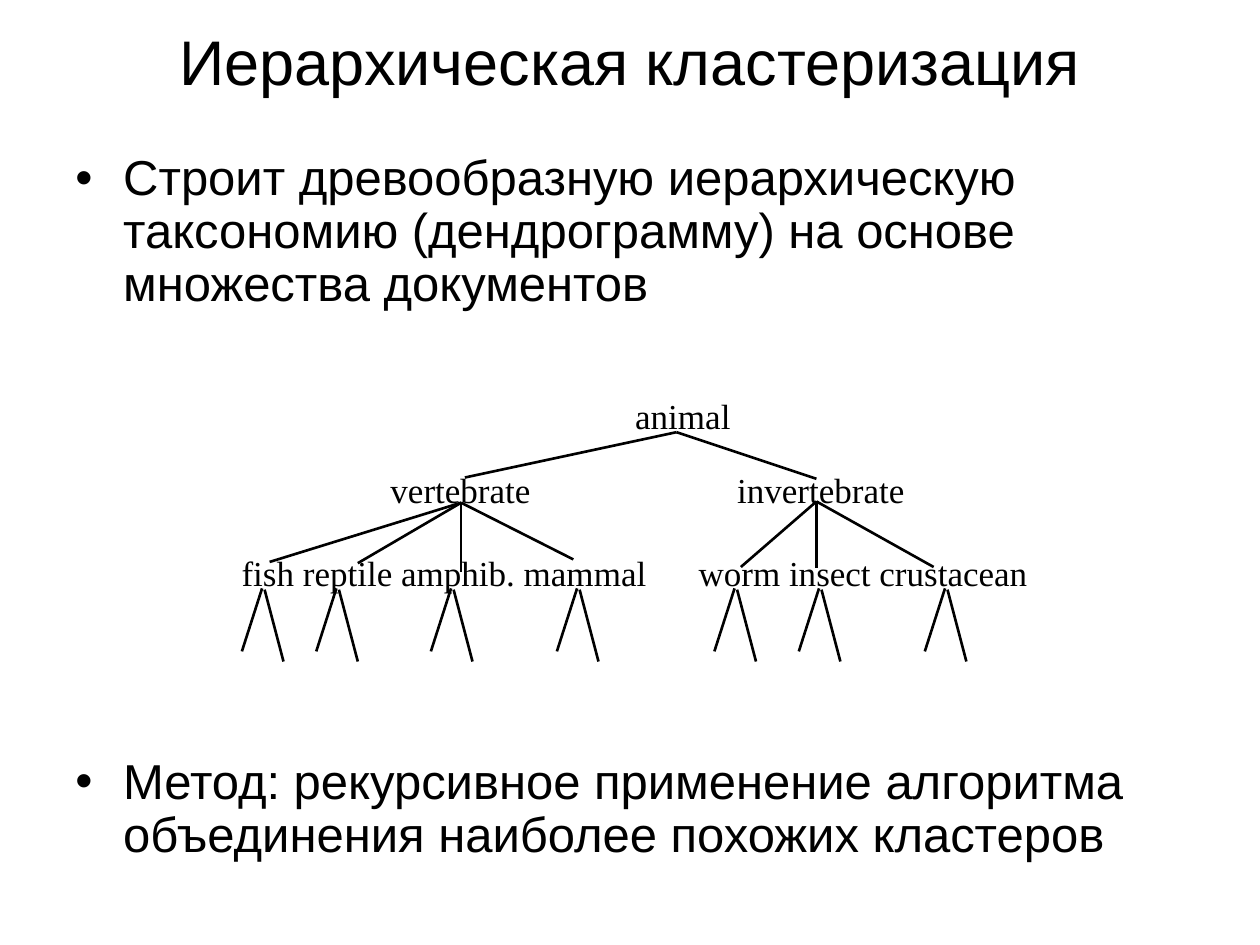
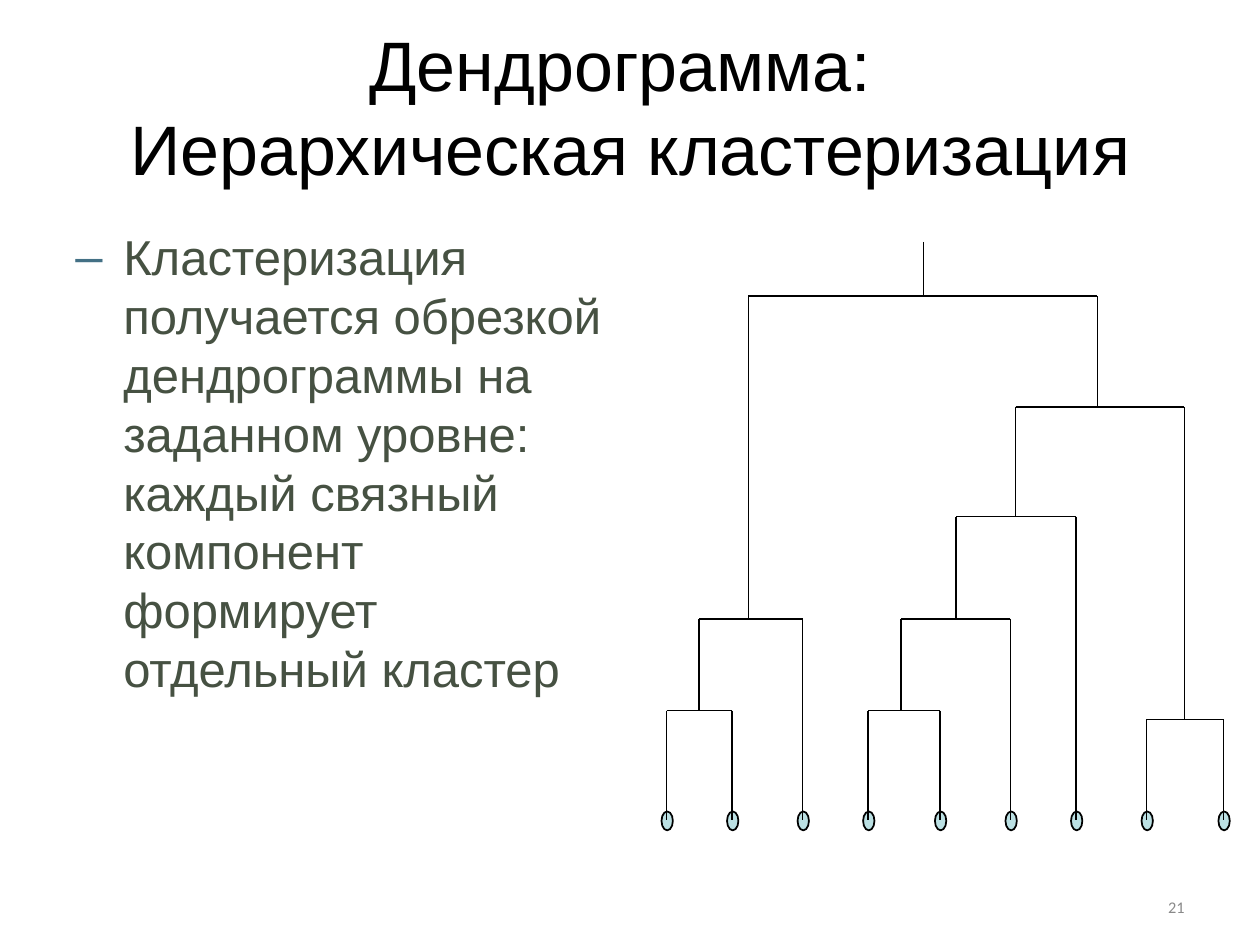
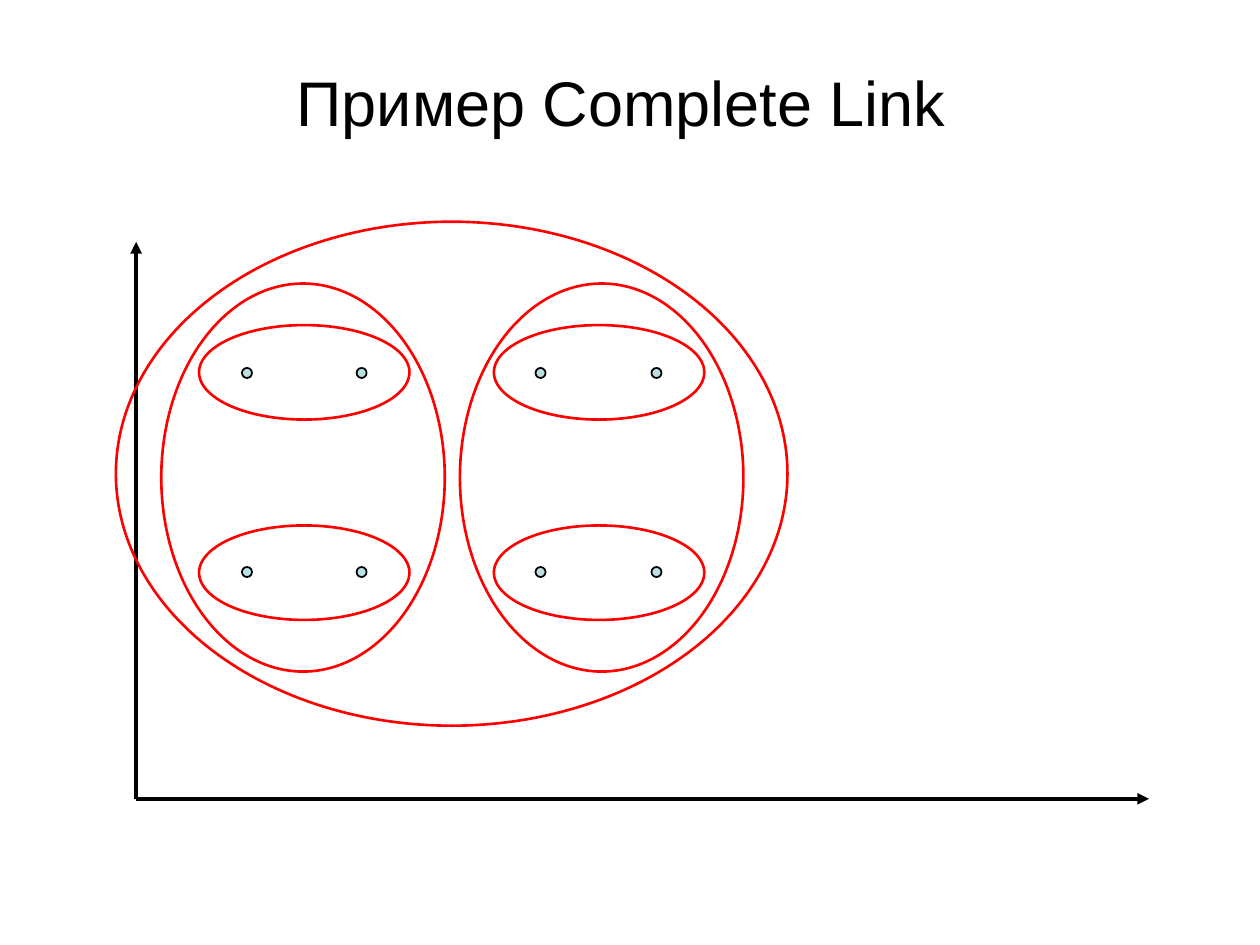
from itertools import product

from lxml import etree
from pptx import Presentation
from pptx.dml.color import RGBColor
from pptx.enum.shapes import MSO_CONNECTOR, MSO_SHAPE
from pptx.enum.text import MSO_ANCHOR, PP_ALIGN
from pptx.oxml.ns import qn
from pptx.util import Pt

PX = 9144
BLACK = RGBColor(0, 0, 0)
RED = RGBColor(255, 0, 0)
AQUA = RGBColor(0xBB, 0xE0, 0xE3)
OLIVE = RGBColor(0x46, 0x51, 0x42)
GREY = RGBColor(0x89, 0x89, 0x89)
BLUE = RGBColor(0x43, 0x70, 0x85)
SANS, SERIF, SMALL = "Arial", "Times New Roman", "Calibri"
LEFT, MID, RIGHT = PP_ALIGN.LEFT, PP_ALIGN.CENTER, PP_ALIGN.RIGHT
TOP, HALF, BASE = MSO_ANCHOR.TOP, MSO_ANCHOR.MIDDLE, MSO_ANCHOR.BOTTOM
OVAL, LINE = MSO_SHAPE.OVAL, MSO_CONNECTOR.STRAIGHT


def emu(*sizes):
    return [size * PX for size in sizes]


class Deck:
    def __init__(self):
        self.file = Presentation()
        self.file.slide_width, self.file.slide_height = emu(1000, 750)

    def page(self):
        self.slide = self.file.slides.add_slide(self.file.slide_layouts[6])

    def text(self, text, box, size=28, font=SANS, color=BLACK, align=LEFT,
             anchor=TOP, lead=1.0, mark=None, tint=BLACK):
        frame = self.slide.shapes.add_textbox(*emu(*box)).text_frame
        frame.word_wrap = True
        frame.vertical_anchor = anchor
        para = frame.paragraphs[0]
        para.text = text
        para.alignment = align
        para.line_spacing = lead
        if mark:
            self.bullet(para, mark, tint)
        for run in para.runs:
            run.font.size = Pt(size)
            run.font.name = font
            run.font.color.rgb = color

    def bullet(self, para, mark, tint):
        props = para._p.get_or_add_pPr()
        props.set("marL", str(38 * PX))
        props.set("indent", str(-38 * PX))
        color = etree.SubElement(props, qn("a:buClr"))
        etree.SubElement(color, qn("a:srgbClr"), val=str(tint))
        etree.SubElement(props, qn("a:buFont"), typeface=SANS)
        etree.SubElement(props, qn("a:buChar"), char=mark)

    def title(self, text, high, size=36):
        self.text(text, (50, 30, 900, high), size=size, align=MID, anchor=BASE)

    def line(self, *ends, width=1.5, arrow=False):
        link = self.slide.shapes.add_connector(LINE, *emu(*ends))
        link.line.color.rgb = BLACK
        link.line.width = Pt(width)
        if arrow:
            etree.SubElement(link.line._get_or_add_ln(), qn("a:tailEnd"),
                             type="triangle")
        etree.SubElement(link._element.spPr, qn("a:effectLst"))

    def oval(self, *box, fill=None, color=BLACK, width=1.0):
        shape = self.slide.shapes.add_shape(OVAL, *emu(*box))
        shape.shadow.inherit = False
        if fill is None:
            shape.fill.background()
        else:
            shape.fill.solid()
            shape.fill.fore_color.rgb = fill
        shape.line.color.rgb = color
        shape.line.width = Pt(width)

    def fork(self, left, right, top, *feet):
        self.line(left, top, right, top, width=1)
        for x, foot in zip((left, right), feet):
            self.line(x, top, x, foot, width=1)


def animals(deck):
    deck.page()
    deck.title("Иерархическая кластеризация", 53)
    for text, top, high in (
        ("Строит древообразную иерархическую таксономию (дендрограмму) "
         "на основе множества документов", 117, 140),
        ("Метод: рекурсивное применение алгоритма объединения наиболее "
         "похожих кластеров", 596, 121),
    ):
        deck.text(text, (50, top, 900, high), lead=0.9, mark="•")
    for text, left, top, wide in (
        ("animal", 467, 308, 150),
        ("vertebrate", 290, 367, 151),
        ("invertebrate", 565, 367, 173),
        ("fish reptile amphib. mammal", 172, 433, 361),
        ("worm insect crustacean", 535, 433, 300),
    ):
        deck.text(text, (left, top, wide, 44), size=20, font=SERIF, align=MID)
    for x, y, ends in (
        (537, 343, ((369, 379), (648, 380))),
        (366, 399, ((214, 446), (284, 447), (366, 454), (455, 444))),
        (648, 398, ((588, 450), (648, 451), (741, 450))),
    ):
        for end in ends:
            deck.line(x, y, *end)
    for x in (208, 267, 358, 458, 583, 650, 750):
        deck.line(x, 467, x - 16, 517)
        deck.line(x + 2, 468, x + 17, 525)


def tree(deck):
    deck.page()
    deck.title("Дендрограмма: \vИерархическая кластеризация", 125, size=40)
    deck.text("Кластеризация получается обрезкой дендрограммы на заданном "
              "уровне: каждый связный компонент формирует отдельный кластер",
              (50, 175, 442, 459), color=OLIVE, mark="–", tint=BLUE)
    deck.text("21", (717, 708, 233, 27), size=9.3, font=SMALL, color=GREY,
              align=RIGHT, anchor=HALF, lead=0.8)
    for x in (529, 581, 637, 689, 746, 802, 854, 910, 971):
        deck.oval(x - 4, 644, 9, 15, fill=AQUA)
    for fork in (
        (529, 581, 564, 651, 651),
        (689, 746, 564, 651, 651),
        (910, 971, 571, 651, 651),
        (555, 637, 491, 564, 651),
        (715, 802, 491, 564, 651),
        (759, 854, 410, 491, 651),
        (806, 940, 323, 410, 571),
        (594, 871, 235, 491, 323),
    ):
        deck.fork(*fork)
    deck.line(733, 192, 733, 235, width=1)


def links(deck):
    deck.page()
    deck.title("Пример Complete Link ", 85)
    deck.line(108, 634, 108, 192, width=2.25, arrow=True)
    deck.line(108, 634, 912, 634, width=2.25, arrow=True)
    for x, y in product((192, 283, 425, 517), (292, 450)):
        deck.oval(x, y, 8, 8, fill=AQUA)
    pairs = [(x, y, 167, 75) for x, y in product((158, 392), (258, 417))]
    halves = [(x, 225, 225, 308) for x in (128, 365)]
    for box in (*pairs, *halves, (92, 176, 533, 400)):
        deck.oval(*box, color=RED, width=1.5)


def main():
    deck = Deck()
    for draw in (animals, tree, links):
        draw(deck)
    deck.file.save("out.pptx")


if __name__ == "__main__":
    main()
